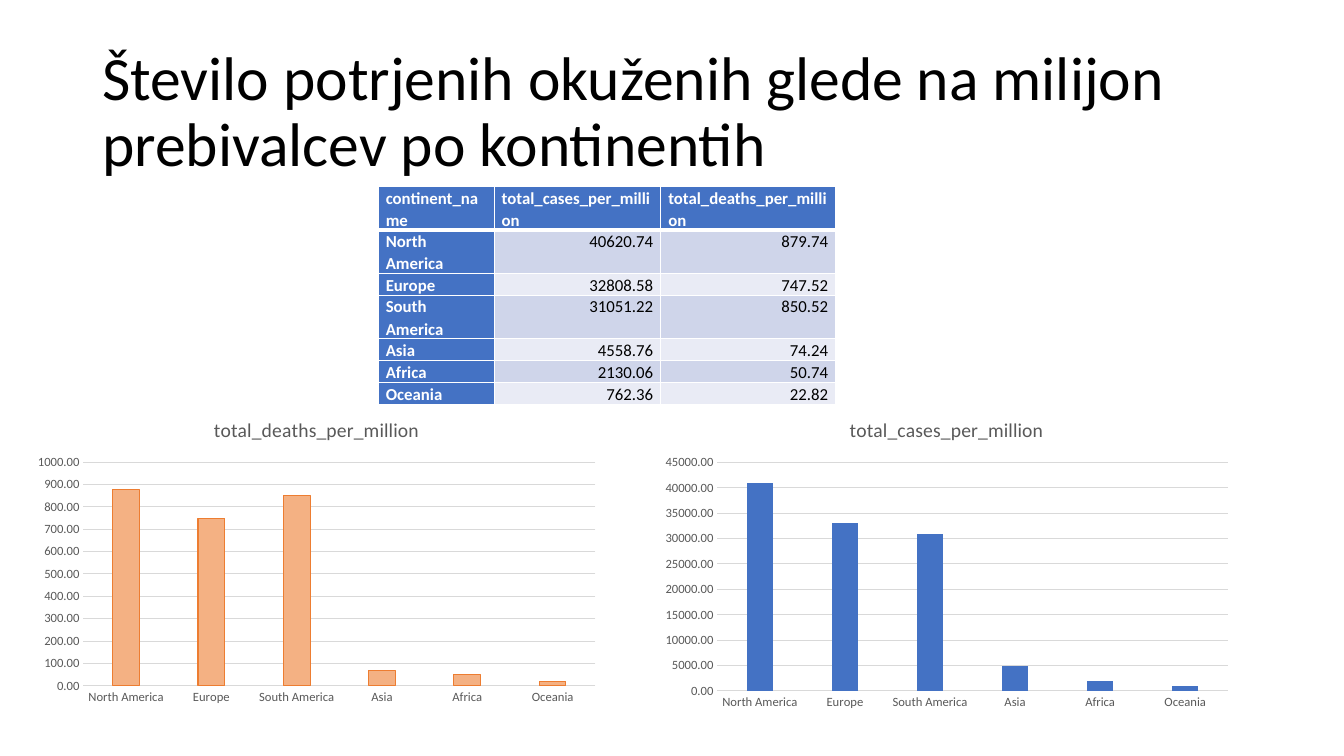
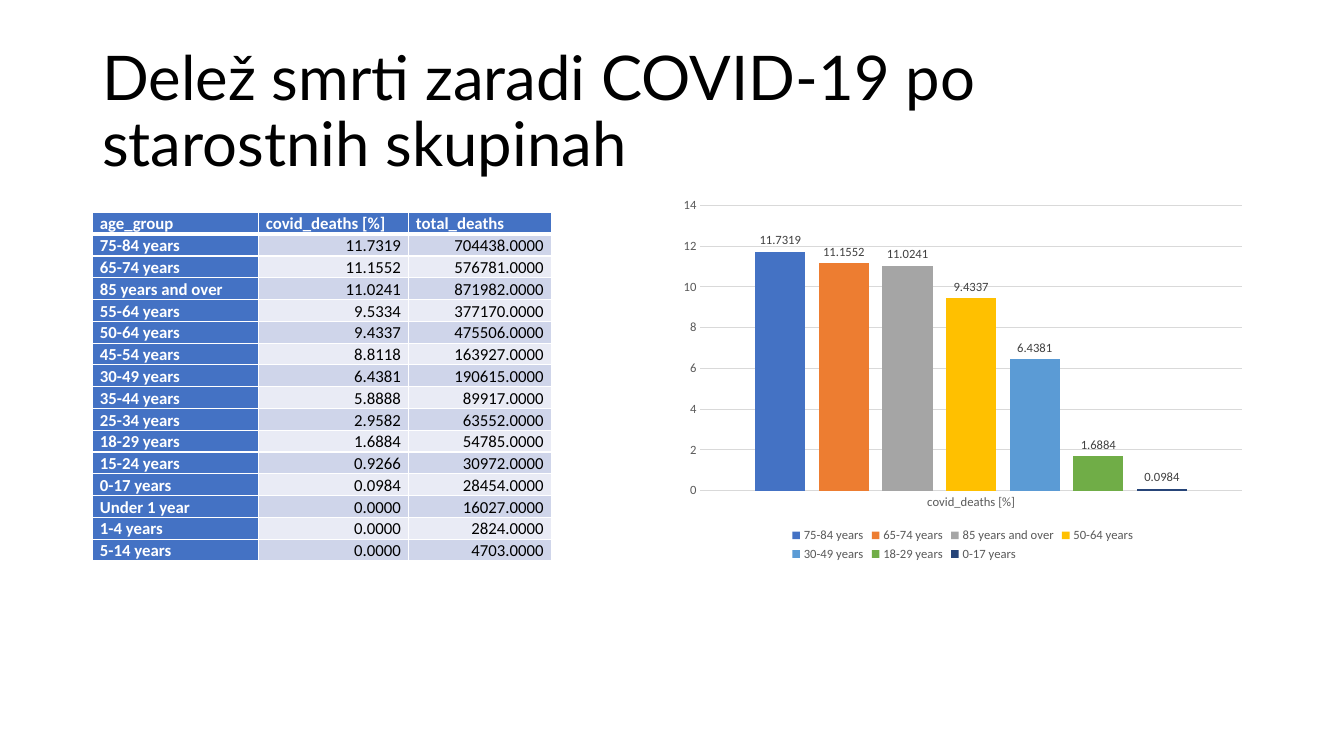
import dataclasses
import typing

import lxml.etree
import pptx
import pptx.chart.data
import pptx.dml.color
import pptx.enum.chart
import pptx.enum.text
import pptx.oxml.ns
import pptx.slide
import pptx.util

Pt = pptx.util.Pt
FONT = "Calibri"
BLACK, WHITE, GREY, DARK, RULE = "000000", "FFFFFF", "595959", "404040", "D9D9D9"
BLUE, ORANGE, PEACH = "4472C4", "ED7D31", "F4B183"
BANDS = ("CFD5EA", "E9EBF5")
Row = tuple[str, ...]
Box = tuple[float, float, float, float]


@dataclasses.dataclass
class Grid:
    """A table: its corner, column widths and rows, header first."""
    left: float
    top: float
    widths: tuple[float, ...]
    rows: list[Row]


@dataclasses.dataclass
class Bar:
    """One series of columns."""
    name: str
    vals: list[float]
    fill: str
    line: str = ""


@dataclasses.dataclass
class Plot:
    """A column chart; labelled ones have a legend in place of a title."""
    box: Box
    cats: list[str]
    bars: list[Bar]
    form: str = "0.00"
    labels: bool = False


@dataclasses.dataclass
class Page:
    """The content of one slide."""
    title: str
    face: str
    grid: Grid
    plots: list[Plot]


def tint(code: str) -> pptx.dml.color.RGBColor:
    """Turn a hex string into a colour."""
    return pptx.dml.color.RGBColor.from_string(code)


def style(font: typing.Any, size: float, code: str,
          bold: bool = False, face: str = FONT) -> None:
    """Set face, size, colour and weight of a font."""
    font.name, font.size, font.bold = face, Pt(size), bold
    font.color.rgb = tint(code)


def paint(line: typing.Any, code: str) -> None:
    """Give a chart line its colour and the common width."""
    line.color.rgb = tint(code)
    line.width = Pt(0.75)


def edge(cell: typing.Any, side: str, width: float) -> None:
    """Draw one white border of a cell."""
    qn = pptx.oxml.ns.qn
    props = cell._tc.get_or_add_tcPr()
    line = lxml.etree.SubElement(props, qn("a:ln" + side), w=str(Pt(width)))
    fill = lxml.etree.SubElement(line, qn("a:solidFill"))
    lxml.etree.SubElement(fill, qn("a:srgbClr"), val=WHITE)


def add_title(slide: pptx.slide.Slide, text: str, face: str) -> None:
    """Write the slide title."""
    frame = slide.shapes.add_textbox(Pt(66), Pt(28.75), Pt(828), Pt(104.4)).text_frame
    frame.word_wrap = True
    frame.vertical_anchor = pptx.enum.text.MSO_ANCHOR.MIDDLE
    para = frame.paragraphs[0]
    para.line_spacing = 0.9
    run = para.add_run()
    run.text = text
    style(run.font, 44, BLACK, face=face)


def fill_cell(cell: typing.Any, text: str, row: int, col: int) -> None:
    """Write and colour one cell by its place in the grid."""
    head = row == 0 or col == 0
    cell.margin_left = cell.margin_right = Pt(5.4)
    cell.margin_top = cell.margin_bottom = 0
    for side in "LRTB":
        thick = (row, side) in ((0, "B"), (1, "T"))
        edge(cell, side, 3 if thick else 1)
    cell.fill.solid()
    cell.fill.fore_color.rgb = tint(BLUE if head else BANDS[(row - 1) % 2])
    para = cell.text_frame.paragraphs[0]
    para.line_spacing, para.space_after = 1.08, Pt(8)
    if not head:
        para.alignment = pptx.enum.text.PP_ALIGN.RIGHT
    run = para.add_run()
    run.text = text
    style(run.font, 12, WHITE if head else BLACK, head)


def add_grid(slide: pptx.slide.Slide, grid: Grid) -> None:
    """Draw a table."""
    high = 14.8
    table = slide.shapes.add_table(
        len(grid.rows), len(grid.widths), Pt(grid.left), Pt(grid.top),
        Pt(sum(grid.widths)), Pt(high * len(grid.rows))).table
    table.first_col = True
    for col, width in zip(table.columns, grid.widths):
        col.width = Pt(width)
    for r, texts in enumerate(grid.rows):
        table.rows[r].height = Pt(high)
        for c, text in enumerate(texts):
            fill_cell(table.cell(r, c), text, r, c)


def style_axes(chart: typing.Any, form: str) -> None:
    """Style both axes and the grid lines."""
    enum = pptx.enum.chart
    for axis in (chart.category_axis, chart.value_axis):
        axis.major_tick_mark = axis.minor_tick_mark = enum.XL_TICK_MARK.NONE
        style(axis.tick_labels.font, 9, GREY)
    paint(chart.category_axis.format.line, RULE)
    scale = chart.value_axis
    scale.format.line.fill.background()
    scale.has_major_gridlines = True
    paint(scale.major_gridlines.format.line, RULE)
    scale.tick_labels.number_format = form
    scale.tick_labels.number_format_is_linked = False


def style_bar(series: typing.Any, bar: Bar, labels: bool) -> None:
    """Colour one series and label it if asked."""
    series.smooth = False
    series.invert_if_negative = False
    series.format.fill.solid()
    series.format.fill.fore_color.rgb = tint(bar.fill)
    if bar.line:
        paint(series.format.line, bar.line)
    if labels:
        marks = series.data_labels
        marks.show_value = True
        marks.position = pptx.enum.chart.XL_LABEL_POSITION.OUTSIDE_END
        style(marks.font, 9, DARK)


def add_plot(slide: pptx.slide.Slide, plot: Plot) -> None:
    """Draw a column chart."""
    enum = pptx.enum.chart
    data = pptx.chart.data.CategoryChartData()
    data.categories = plot.cats
    for bar in plot.bars:
        data.add_series(bar.name, bar.vals)
    chart = slide.shapes.add_chart(
        enum.XL_CHART_TYPE.COLUMN_CLUSTERED, *map(Pt, plot.box), data).chart
    style(chart.font, 10, BLACK)
    chart.has_title = not plot.labels
    chart.has_legend = plot.labels
    if plot.labels:
        chart.legend.position = enum.XL_LEGEND_POSITION.BOTTOM
        chart.legend.include_in_layout = False
        style(chart.legend.font, 9, GREY)
    else:
        run = chart.chart_title.text_frame.paragraphs[0].add_run()
        run.text = plot.bars[0].name
        style(run.font, 14, GREY)
    group = chart.plots[0]
    group.vary_by_categories = False
    group.gap_width, group.overlap = 219, -27
    style_axes(chart, plot.form)
    for series, bar in zip(group.series, plot.bars):
        style_bar(series, bar, plot.labels)


LANDS: list[Row] = [
    ("continent_name", "total_cases_per_million", "total_deaths_per_million"),
    ("North America", "40620.74", "879.74"),
    ("Europe", "32808.58", "747.52"),
    ("South America", "31051.22", "850.52"),
    ("Asia", "4558.76", "74.24"),
    ("Africa", "2130.06", "50.74"),
    ("Oceania", "762.36", "22.82"),
]
AGES: list[Row] = [
    ("age_group", "covid_deaths [%]", "total_deaths"),
    ("75-84 years", "11.7319", "704438.0000"),
    ("65-74 years", "11.1552", "576781.0000"),
    ("85 years and over", "11.0241", "871982.0000"),
    ("55-64 years", "9.5334", "377170.0000"),
    ("50-64 years", "9.4337", "475506.0000"),
    ("45-54 years", "8.8118", "163927.0000"),
    ("30-49 years", "6.4381", "190615.0000"),
    ("35-44 years", "5.8888", "89917.0000"),
    ("25-34 years", "2.9582", "63552.0000"),
    ("18-29 years", "1.6884", "54785.0000"),
    ("15-24 years", "0.9266", "30972.0000"),
    ("0-17 years", "0.0984", "28454.0000"),
    ("Under 1 year", "0.0000", "16027.0000"),
    ("1-4 years", "0.0000", "2824.0000"),
    ("5-14 years", "0.0000", "4703.0000"),
]
HUES = {
    "75-84 years": BLUE, "65-74 years": ORANGE, "85 years and over": "A5A5A5",
    "50-64 years": "FFC000", "30-49 years": "5B9BD5",
    "18-29 years": "70AD47", "0-17 years": "264478",
}


def land_plot(box: Box, col: int, places: int, fill: str, line: str = "") -> Plot:
    """Chart one column of the continent table, rounded to some places."""
    head, *body = LANDS
    vals = [round(float(row[col]), places) for row in body]
    return Plot(box, [row[0] for row in body], [Bar(head[col], vals, fill, line)])


def age_plot(box: Box) -> Plot:
    """Chart the age groups that have a hue, one series each."""
    bars = [Bar(name, [float(share)], HUES[name])
            for name, share, _ in AGES if name in HUES]
    return Plot(box, [AGES[0][1]], bars, "General", True)


PAGES = [
    Page("Število potrjenih okuženih glede na milijon prebivalcev po kontinentih", FONT,
         Grid(270.2, 133.2, (82.8, 119, 125), LANDS),
         [land_plot((467, 286.6, 418.3, 224.8), 1, -3, BLUE),
          land_plot((18.8, 286.6, 414.7, 221), 2, -1, PEACH, ORANGE)]),
    Page("Delež smrti zaradi COVID-19 po starostnih skupinah", "Lato",
         Grid(66, 151.7, (118.6, 107.2, 102), AGES),
         [age_plot((480, 136.1, 415.4, 267.8))]),
]


def main() -> None:
    """Build and save the slides."""
    deck = pptx.Presentation()
    deck.slide_width, deck.slide_height = Pt(960), Pt(540)
    for page in PAGES:
        slide = deck.slides.add_slide(deck.slide_layouts[6])
        add_title(slide, page.title, page.face)
        add_grid(slide, page.grid)
        for plot in page.plots:
            add_plot(slide, plot)
    deck.save("out.pptx")


main()
